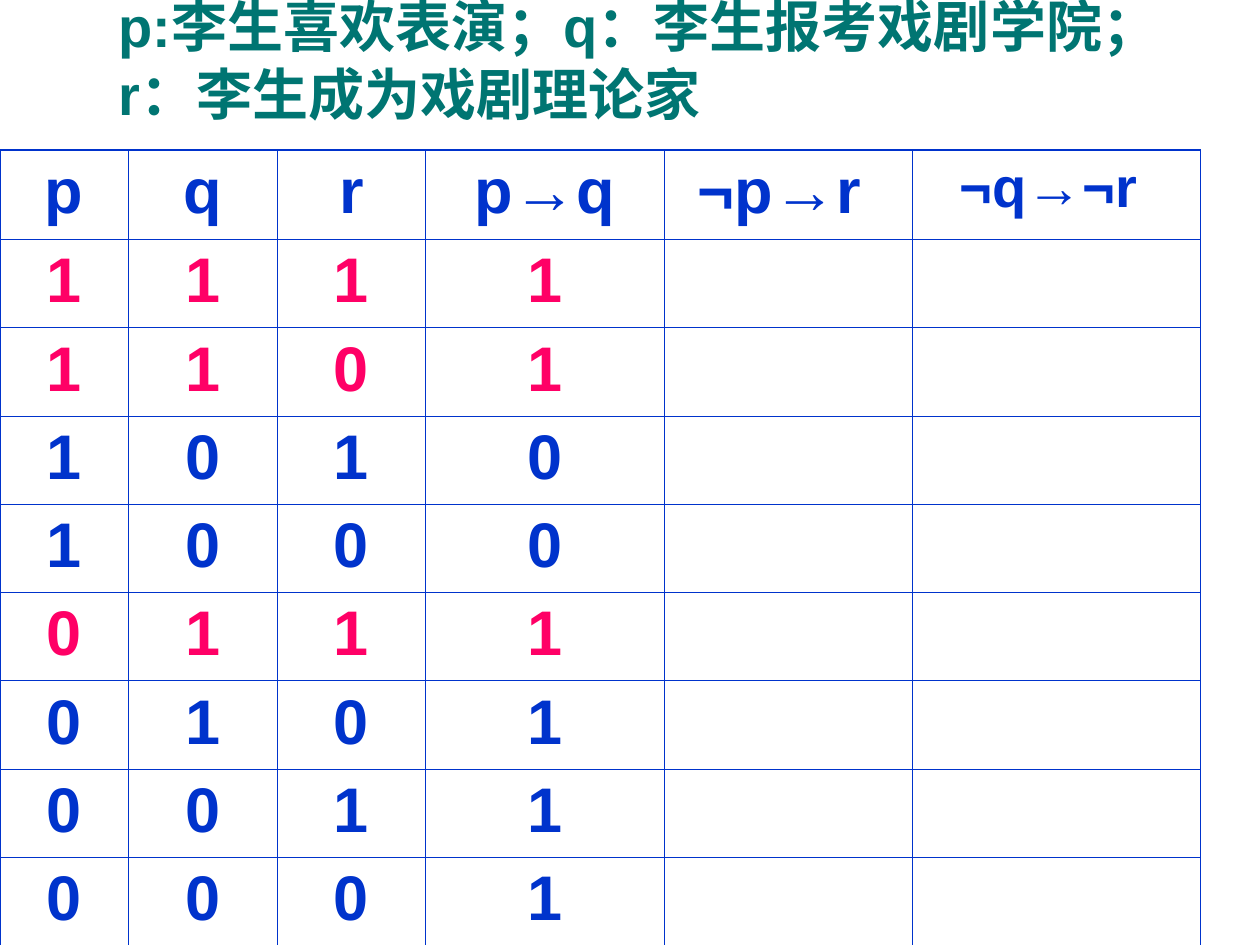
from dataclasses import dataclass

from lxml.etree import SubElement
from pptx import Presentation
from pptx.dml.color import RGBColor as Rgb
from pptx.enum.text import MSO_ANCHOR as Anchor, PP_ALIGN as Align
from pptx.oxml import parse_xml
from pptx.oxml.ns import nsdecls, qn
from pptx.util import Inches, Pt


@dataclass(frozen=True)
class Theme:
    font: str = "Arial"
    title_color: str = "007572"
    ink: str = "0033CC"
    highlight: str = "FF0066"
    title_size: int = 32
    table_size: int = 36
    small_header_size: int = 32
    outer_border: float = 1.08
    inner_border: float = 0.45


def apply_format(target, values):
    for name, value in values.items():
        setattr(target, name, value)


class TruthTableSlide:
    def __init__(self, presentation, theme):
        self.theme = theme
        self.slide = presentation.slides.add_slide(presentation.slide_layouts[6])

    def style_text(self, paragraph, size, color):
        for run in paragraph.runs:
            apply_format(run.font, {"size": Pt(size), "bold": True, "name": self.theme.font})
            run.font.color.rgb = Rgb.from_string(color)
            SubElement(run.font._element, qn("a:ea"), typeface=self.theme.font)

    def add_title(self, text, left, top, width, height, indent):
        frame = self.slide.shapes.add_textbox(left, top, width, height).text_frame
        apply_format(frame, {"word_wrap": True, "vertical_anchor": Anchor.MIDDLE})
        statement = frame.paragraphs[0]
        statement.text = text
        statement._p.get_or_add_pPr().set("marL", str(indent))
        self.style_text(statement, self.theme.title_size, self.theme.title_color)

    def add_borders(self, cell, outer_sides):
        properties = cell._tc.get_or_add_tcPr()
        for position, side in enumerate("LRTB"):
            width = self.theme.outer_border if side in outer_sides else self.theme.inner_border
            properties.insert(position, parse_xml(
                f'<a:ln{side} {nsdecls("a")} w="{Pt(width)}"><a:solidFill>'
                f'<a:srgbClr val="{self.theme.ink}"/></a:solidFill></a:ln{side}>'))

    def add_table(self, rows, left, top, widths, heights, highlighted, small_cells):
        table = self.slide.shapes.add_table(
            len(rows), len(widths), left, top, sum(widths), sum(heights)).table
        apply_format(table, {"first_row": False, "horz_banding": False})
        for column, width in zip(table.columns, widths):
            column.width = width
        for row, height in zip(table.rows, heights):
            row.height = height
        last_row, last_column = len(rows) - 1, len(widths) - 1
        for r, values in enumerate(rows):
            color = self.theme.highlight if r in highlighted else self.theme.ink
            for c in range(len(widths)):
                cell = table.cell(r, c)
                cell.fill.background()
                edges = {"L": c == 0, "R": c == last_column, "T": r == 0, "B": r == last_row}
                self.add_borders(cell, [side for side, outer in edges.items() if outer])
                if c < len(values):
                    entry = cell.text_frame.paragraphs[0]
                    apply_format(entry, {"text": values[c], "alignment": Align.CENTER})
                    size = (self.theme.small_header_size if (r, c) in small_cells
                            else self.theme.table_size)
                    self.style_text(entry, size, color)


def main():
    presentation = Presentation()
    apply_format(presentation, {"slide_width": Inches(10), "slide_height": Inches(7.5)})
    page = TruthTableSlide(presentation, Theme())
    page.add_title("p:李生喜欢表演；q：李生报考戏剧学院；\vr：李生成为戏剧理论家",
                   Inches(0.35), Inches(0), Inches(9.34), Inches(0.94), Inches(0.49))

    headers = ["p", "q", "r", "p→q", "¬p→r ", "¬q→¬r "]
    truth_rows = ["1111", "1101", "1010", "1000", "0111", "0101", "0011", "0001"]
    page.add_table(
        [headers, *truth_rows], Inches(0), Inches(1.19),
        [Inches(width) for width in (1.02, 1.18, 1.18, 1.89, 1.97, 2.29)],
        [Inches(0.71)] + [Inches(0.7)] * len(truth_rows),
        highlighted={1, 2, 5}, small_cells={(0, 5)})
    presentation.save("out.pptx")


if __name__ == "__main__":
    main()
